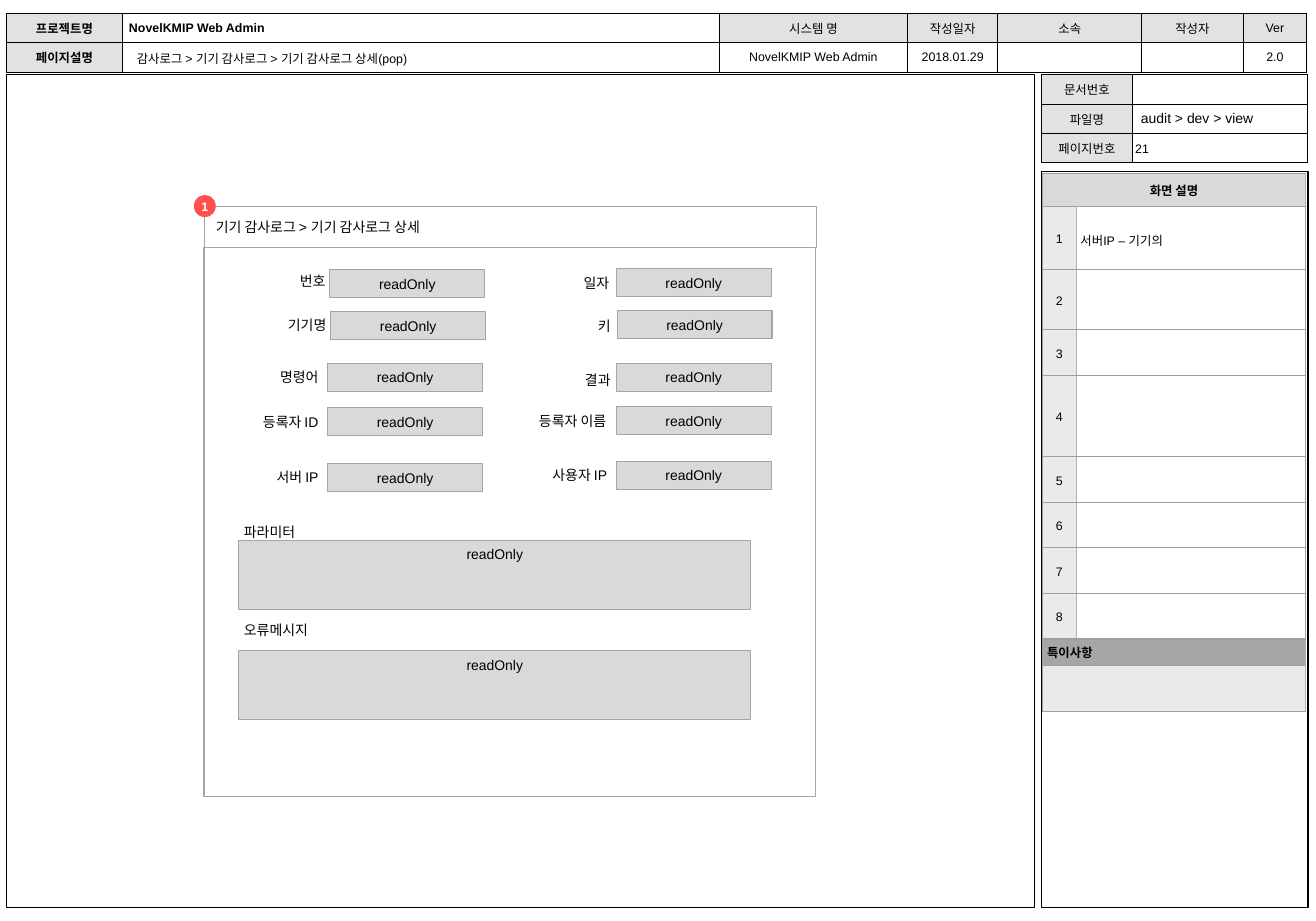
"""Build the wireframe page for the device audit log detail pop-up."""
from lxml import etree
from pptx import Presentation
from pptx.dml.color import RGBColor
from pptx.enum.shapes import MSO_SHAPE
from pptx.enum.text import MSO_ANCHOR, MSO_AUTO_SIZE, PP_ALIGN
from pptx.oxml.ns import qn
from pptx.util import Cm, Pt

LEFT, CENTER, RIGHT = PP_ALIGN.LEFT, PP_ALIGN.CENTER, PP_ALIGN.RIGHT
TOP, MIDDLE = MSO_ANCHOR.TOP, MSO_ANCHOR.MIDDLE
RECTANGLE, OVAL = MSO_SHAPE.RECTANGLE, MSO_SHAPE.OVAL
NO_AUTOFIT = MSO_AUTO_SIZE.NONE

FONT = "Arial"
BLACK, WHITE, RED = "000000", "FFFFFF", "FF5050"
HEAD_FILL, FIELD_FILL, NUMBER_FILL, NOTE_FILL = "E2E2E2", "D9D9D9", "EAEAEA", "A6A6A6"
FIELD_LINE, TABLE_LINE, DIVIDER_LINE = "A5A5A5", "9F9F9F", "B2B2B2"
NO_MARGIN = (0, 0)
BOX_MARGIN = (0.25, 0.13)
CELL_MARGIN = (0.15, 0.13)
NOTE_MARGIN = (0.1, 0.1)

BREADCRUMB = "감사로그 > 기기 감사로그 > 기기 감사로그 상세(pop)"
POPUP_TITLE = "기기 감사로그 > 기기 감사로그 상세"
FILE_NAME = "audit > dev > view"
PAGE_NUMBER = "21"
FIELD_VALUE = "readOnly"

PROJECT_ROWS = [
    ["프로젝트명", "NovelKMIP Web Admin", "시스템 명", "작성일자", "소속", "작성자", "Ver"],
    ["페이지설명", "", "NovelKMIP Web Admin", "2018.01.29", "", "", "2.0"],
]
PROJECT_COLUMNS = [2.64, 13.61, 4.29, 2.06, 3.28, 2.31, 1.45]
DOCUMENT_ROWS = [["문서번호", ""], ["파일명", ""], ["페이지번호", ""]]
DOCUMENT_COLUMNS = [2.06, 4]
HEAD_ROW = 0.67

NOTES = ["서버IP – 기기의"] + [""] * 7
NOTE_ROWS = (
    [["화면 설명", ""]]
    + [[str(number), note] for number, note in enumerate(NOTES, 1)]
    + [["특이사항", ""], ["", ""]]
)
NOTE_COLUMNS = [0.76, 5.23]
NOTE_HEIGHTS = [0.74, 1.45, 1.37, 1.04, 1.85] + [1.04] * 4 + [0.56, 1.04]

LABEL_WIDTH, LABEL_HEIGHT = 2.2, 0.38
FIELD_WIDTH, FIELD_HEIGHT = 3.53, 0.64
FIELDS = [  # label, label right, label top, field left, field top
    ("번호", 7.42, 6.22, 7.52, 6.15),
    ("일자", 13.89, 6.27, 14.05, 6.12),
    ("기기명", 7.44, 7.21, 7.54, 7.11),
    ("키", 13.92, 7.24, 14.07, 7.09),
    ("명령어", 7.26, 8.41, 7.47, 8.28),
    ("결과", 13.92, 8.48, 14.05, 8.28),
    ("등록자 ID", 7.26, 9.42, 7.47, 9.3),
    ("등록자 이름", 13.82, 9.4, 14.05, 9.27),
    ("서버 IP", 7.26, 10.69, 7.47, 10.57),
    ("사용자 IP", 13.84, 10.64, 14.05, 10.52),
]
AREAS = [("파라미터", 11.94, 12.32), ("오류메시지", 14.17, 14.83)]


def rgb(value):
    return RGBColor.from_string(value)


def write(frame, text, size=9, align=LEFT, anchor=TOP, margin=NO_MARGIN, color=BLACK, bold=False):
    side, edge = (Cm(value) for value in margin)
    layout = {"word_wrap": True, "auto_size": NO_AUTOFIT, "vertical_anchor": anchor,
              "margin_left": side, "margin_right": side, "margin_top": edge, "margin_bottom": edge}
    for name, value in layout.items():
        setattr(frame, name, value)
    para = frame.paragraphs[0]
    para.alignment = align
    span = para.add_run()
    span.text = text
    for name, value in {"name": FONT, "size": Pt(size), "bold": bold}.items():
        setattr(span.font, name, value)
    span.font.color.rgb = rgb(color)


def add_label(page, text, area, **style):
    box = page.shapes.add_textbox(*map(Cm, area))
    write(box.text_frame, text, **style)


def add_block(page, area, fill=None, line=None, kind=RECTANGLE, text="", **style):
    shape = page.shapes.add_shape(kind, *map(Cm, area))
    shape.shadow.inherit = False
    if fill:
        shape.fill.solid()
        shape.fill.fore_color.rgb = rgb(fill)
    else:
        shape.fill.background()
    if line:
        shape.line.color.rgb = rgb(line)
        shape.line.width = Pt(0.75)
    else:
        shape.line.fill.background()
    if text:
        write(shape.text_frame, text, **style)


def set_border(cell, side, color):
    properties = cell._tc.get_or_add_tcPr()
    line = etree.SubElement(properties, qn(f"a:ln{side}"), w=str(Pt(0.75)))
    solid = etree.SubElement(line, qn("a:solidFill"))
    etree.SubElement(solid, qn("a:srgbClr"), val=color)


def add_grid(page, rows, left, top, columns, heights, style, margin, border, divider, merged=()):
    area = (left, top, sum(columns), sum(heights))
    table = page.shapes.add_table(len(rows), len(columns), *map(Cm, area)).table
    table.first_row = table.horz_banding = False
    for column, width in zip(table.columns, columns):
        column.width = Cm(width)
    for row, height in zip(table.rows, heights):
        row.height = Cm(height)
    for r, texts in enumerate(rows):
        for c, text in enumerate(texts):
            cell = table.cell(r, c)
            fill, align, bold, spacing = style(r, c)
            for side in "LRTB":
                inner = (c, side) in ((0, "R"), (1, "L"))
                set_border(cell, side, divider if inner else border)
            if fill:
                cell.fill.solid()
                cell.fill.fore_color.rgb = rgb(fill)
            else:
                cell.fill.background()
            cell.vertical_anchor = MIDDLE
            cell.margin_left = cell.margin_right = Cm(margin[0])
            cell.margin_top = cell.margin_bottom = Cm(margin[1])
            para = cell.text_frame.paragraphs[0]
            para.alignment, para.line_spacing = align, spacing
            if text:
                span = para.add_run()
                span.text = text
                for name, value in {"name": FONT, "size": Pt(8), "bold": bold}.items():
                    setattr(span.font, name, value)
                span.font.color.rgb = rgb(BLACK)
            else:
                etree.SubElement(para._p, qn("a:endParaRPr"), sz="800")
    for r in merged:
        table.cell(r, 0).merge(table.cell(r, len(columns) - 1))


def project_style(r, c):
    is_head = c == 0 or (r == 0 and c != 1)
    return HEAD_FILL if is_head else None, LEFT if c == 1 else CENTER, c == 0 or (r, c) == (0, 1), 1.0


def document_style(r, c):
    return None if c else HEAD_FILL, CENTER, False, 1.0


def note_style(r, c):
    special = {0: (FIELD_FILL, CENTER, True, 1.0), 9: (NOTE_FILL, LEFT, True, 1.0),
               10: (NUMBER_FILL, LEFT, False, 1.0)}
    body = (None, LEFT, False, 1.2) if c else (NUMBER_FILL, CENTER, False, 1.2)
    return special.get(r, body)


def main():
    deck = Presentation()
    deck.slide_width, deck.slide_height = Cm(30), Cm(21)
    page = deck.slides.add_slide(deck.slide_layouts[5])

    title = page.shapes.title
    title.left, title.top, title.width, title.height = map(Cm, (2.87, 1.04, 9.14, 0.51))
    write(title.text_frame, BREADCRUMB, size=8, margin=BOX_MARGIN)

    add_grid(page, DOCUMENT_ROWS, 23.75, 1.7, DOCUMENT_COLUMNS, [HEAD_ROW] * 3,
             document_style, CELL_MARGIN, BLACK, BLACK)
    add_grid(page, PROJECT_ROWS, 0.15, 0.3, PROJECT_COLUMNS, [HEAD_ROW] * 2,
             project_style, CELL_MARGIN, BLACK, BLACK)
    add_label(page, PAGE_NUMBER, (25.63, 3.1, 1.32, 0.61), size=8, margin=BOX_MARGIN)
    add_label(page, FILE_NAME, (26.01, 2.51, 3.33, LABEL_HEIGHT))

    add_block(page, (0.15, 1.7, 23.44, 19), line=BLACK)
    add_block(page, (23.75, 3.91, 6.07, 16.79), WHITE, BLACK)
    add_grid(page, NOTE_ROWS, 23.77, 3.96, NOTE_COLUMNS, NOTE_HEIGHTS,
             note_style, NOTE_MARGIN, TABLE_LINE, DIVIDER_LINE, merged=(0, 9, 10))

    add_block(page, (4.67, 4.7, 13.94, 0.94), WHITE, FIELD_LINE, text=POPUP_TITLE,
              anchor=MIDDLE, margin=BOX_MARGIN)
    add_block(page, (4.65, 5.64, 13.94, 12.52), WHITE, FIELD_LINE)
    value = {"text": FIELD_VALUE, "align": CENTER, "margin": BOX_MARGIN}
    for label, right, label_top, left, top in FIELDS:
        add_block(page, (left, top, FIELD_WIDTH, FIELD_HEIGHT), FIELD_FILL, FIELD_LINE, **value)
        add_label(page, label, (right - LABEL_WIDTH, label_top, LABEL_WIDTH, LABEL_HEIGHT), align=RIGHT)
    for label, label_top, top in AREAS:
        add_label(page, label, (5.56, label_top, LABEL_WIDTH, LABEL_HEIGHT))
        add_block(page, (5.44, top, 11.68, 1.57), FIELD_FILL, FIELD_LINE, **value)
    add_block(page, (4.42, 4.45, 0.5, 0.5), RED, kind=OVAL, text="1", size=8,
              align=CENTER, anchor=MIDDLE, color=WHITE, bold=True)

    deck.save("out.pptx")


if __name__ == "__main__":
    main()
